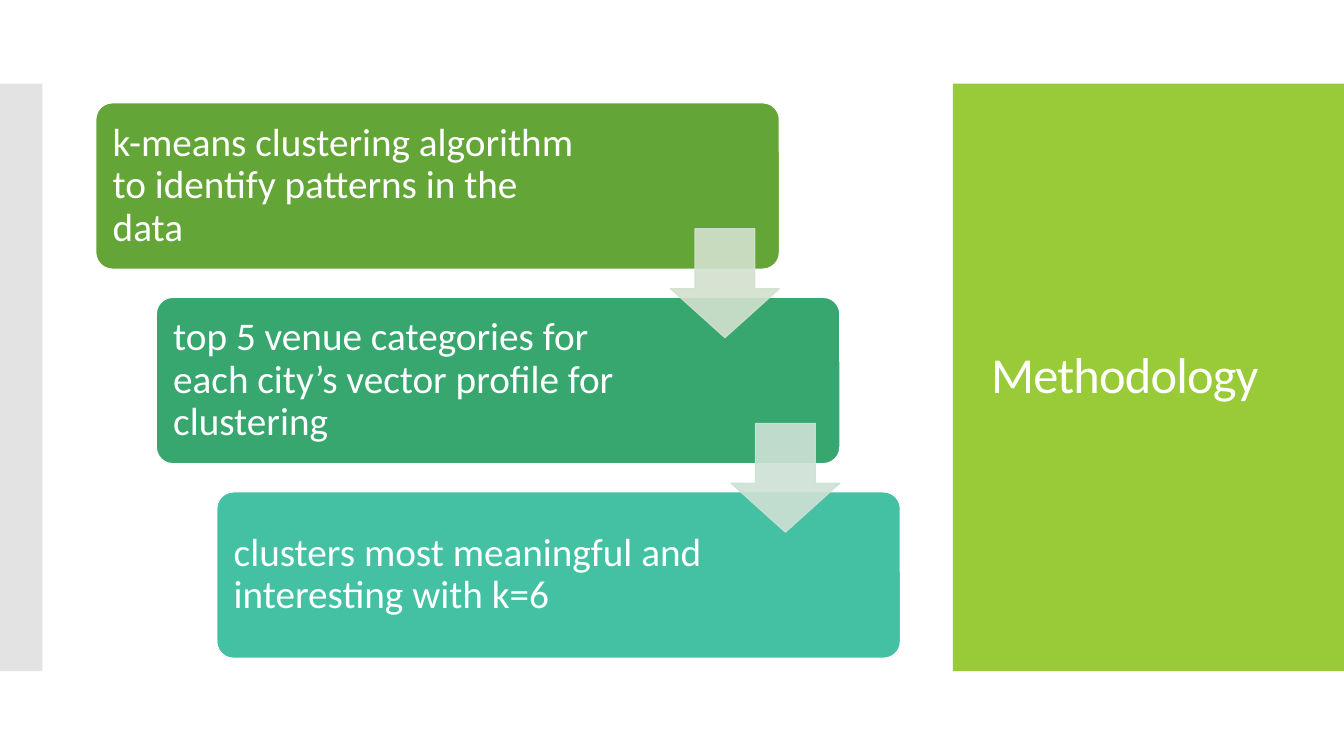
from lxml import etree
from pptx import Presentation
from pptx.dml.color import RGBColor
from pptx.enum.shapes import MSO_SHAPE as SHAPE
from pptx.enum.text import MSO_ANCHOR as ANCHOR, MSO_AUTO_SIZE as AUTO, PP_ALIGN as ALIGN
from pptx.oxml.ns import qn
from pptx.util import Inches, Pt

# Content
TITLE = "Methodology"
STEPS = [
    ("k-means clustering algorithm to identify patterns in the data", "step1"),
    ("top 5 venue categories for each city’s vector profile for clustering", "step2"),
    ("clusters most meaningful and interesting with k=6", "step3"),
]
ARROWS = ["arrow1", "arrow2"]
COLORS = {
    "white": "FFFFFF", "panel": "99CB38", "strip": "C8C8C8",
    "step1": "63A537", "step2": "37A76F", "step3": "44C1A3",
    "arrow1": "D3E1CE", "arrow2": "CEE1D5",
}
FONT = "Calibri"

# Layout in inches
BAND_TOP, BAND_H = 0.83, 5.83
STEP_X, STEP_Y, STEP_W, STEP_H = 0.95, 1.02, 6.78, 1.65
SHIFT_X, SHIFT_Y = 0.6, 1.93
ARROW_X, ARROW_Y, ARROW_SIZE = 6.65, 2.27, 1.08


def color(name):
    return RGBColor.from_string(COLORS[name])


def set_alpha(sp, percent):
    for clr in sp._element.spPr.iter(qn("a:srgbClr")):
        etree.SubElement(clr, qn("a:alpha"), val=str(percent * 1000))


def add_box(slide, kind, x, y, w, h, fill, line=None):
    sp = slide.shapes.add_shape(kind, Inches(x), Inches(y), Inches(w), Inches(h))
    sp.shadow.inherit = False
    sp.fill.solid()
    sp.fill.fore_color.rgb = color(fill)
    if line:
        sp.line.color.rgb = color(line)
        sp.line.width = Pt(0.85)
    else:
        sp.line.fill.background()
    return sp


def set_text(sp, text, size):
    tf = sp.text_frame
    tf.text = text
    tf.word_wrap = True
    tf.auto_size = AUTO.NONE
    tf.vertical_anchor = ANCHOR.MIDDLE
    p = tf.paragraphs[0]
    p.alignment = ALIGN.LEFT
    p.line_spacing = 0.9
    font = p.runs[0].font
    font.name, font.size = FONT, Pt(size)
    font.color.rgb = color("white")
    return tf


prs = Presentation()
prs.slide_width, prs.slide_height = Inches(13.33), Inches(7.5)
slide = prs.slides.add_slide(prs.slide_layouts[5])

# Title panel, placed behind the title
panel = add_box(slide, SHAPE.RECTANGLE, 9.45, BAND_TOP, 3.88, BAND_H, "panel")
title = slide.shapes.title
title._element.addprevious(panel._element)
title.left, title.top = Inches(9.73), Inches(1.23)
title.width, title.height = Inches(3.22), Inches(5.03)
tf = set_text(title, TITLE, 36)
tf.paragraphs[0].runs[0]._r.get_or_add_rPr().set("spc", "-60")

# Left strip
strip = add_box(slide, SHAPE.RECTANGLE, 0, BAND_TOP, 0.42, BAND_H, "strip")
set_alpha(strip, 50)

# Staircase of steps
for i, (text, fill) in enumerate(STEPS):
    step = add_box(slide, SHAPE.ROUNDED_RECTANGLE, STEP_X + i * SHIFT_X,
                   STEP_Y + i * SHIFT_Y, STEP_W, STEP_H, fill, "white")
    step.adjustments[0] = 0.1
    tf = set_text(step, text, 28)
    tf.margin_left = tf.margin_top = tf.margin_bottom = Inches(0.12)
    tf.margin_right = Inches(1.8)  # keeps the text clear of the arrows

# Arrows between steps
for i, fill in enumerate(ARROWS):
    arrow = add_box(slide, SHAPE.DOWN_ARROW, ARROW_X + i * SHIFT_X,
                    ARROW_Y + i * SHIFT_Y, ARROW_SIZE, ARROW_SIZE, fill, fill)
    arrow.adjustments[0], arrow.adjustments[1] = 0.55, 0.45
    set_alpha(arrow, 90)

prs.save("out.pptx")
